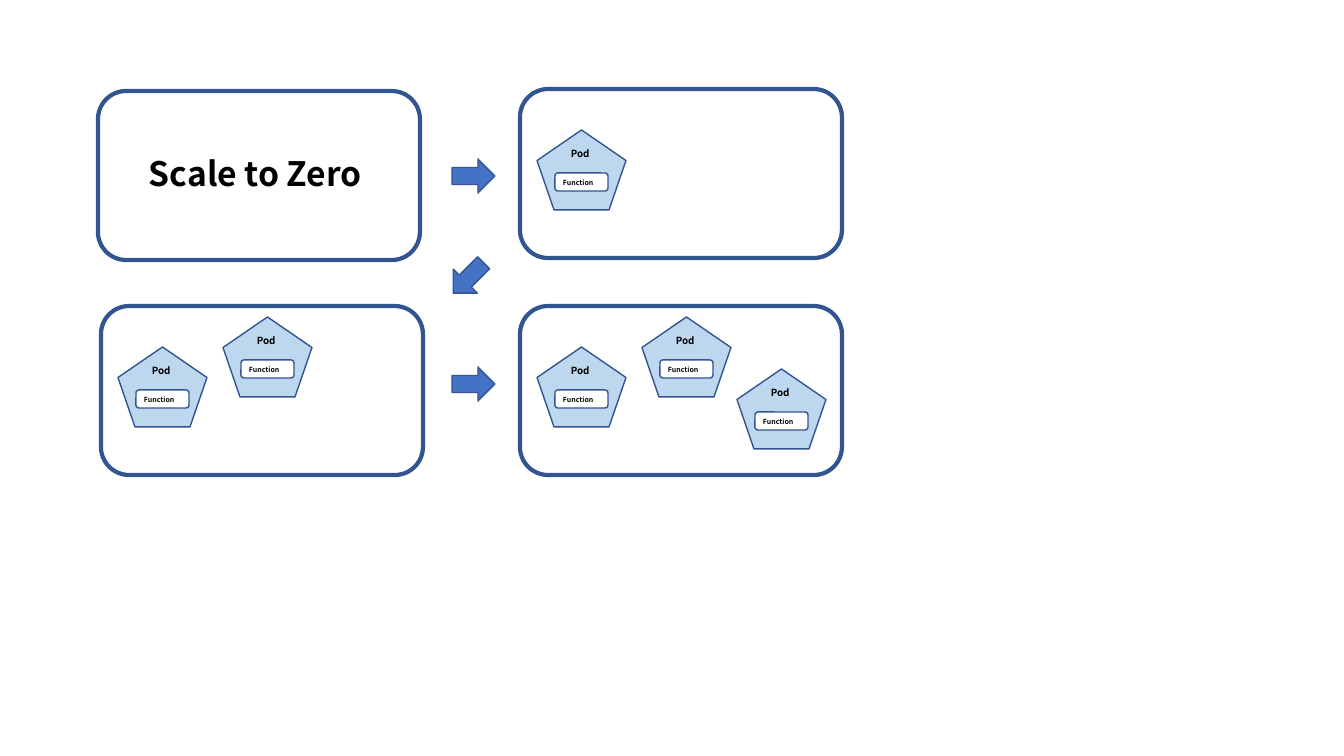
from dataclasses import dataclass

from pptx import Presentation
from pptx.dml.color import RGBColor
from pptx.enum.shapes import MSO_SHAPE
from pptx.enum.text import MSO_AUTO_SIZE
from pptx.util import Emu, Pt

ROUNDED = MSO_SHAPE.ROUNDED_RECTANGLE
PENTAGON = MSO_SHAPE.REGULAR_PENTAGON
ARROW = MSO_SHAPE.RIGHT_ARROW
GROW = MSO_AUTO_SIZE.SHAPE_TO_FIT_TEXT

EMU_PER_PX = 914400 / 100.8
PANEL_SIZE = (322, 169)
POD_SIZE = (89, 80)
ARROW_SIZE = (43, 34)
POD_OFFSETS = [(17, 41), (122, 11), (217, 63)]


@dataclass(frozen=True)
class Theme:
    font: str = "Noto Sans CJK KR"
    outline: str = "325491"
    pod: str = "BDD7EE"
    function: str = "FFFFFF"
    arrow: str = "4472C4"
    text: str = "000000"
    heading_size: int = 24
    pod_size: int = 7
    function_size: int = 5
    panel_line: int = 3
    thin_line: int = 1


THEME = Theme()


def px(length):
    return Emu(round(length * EMU_PER_PX))


def add_box(slide, kind, left, top, size, fill=None, line=THEME.thin_line):
    shape = slide.shapes.add_shape(kind, px(left), px(top), *map(px, size))
    shape.shadow.inherit = False
    if fill:
        shape.fill.solid()
        shape.fill.fore_color.rgb = RGBColor.from_string(fill)
    else:
        shape.fill.background()
    shape.line.color.rgb = RGBColor.from_string(THEME.outline)
    shape.line.width = Pt(line)
    return shape


def add_label(slide, text, left, top, size, points):
    frame = slide.shapes.add_textbox(px(left), px(top), *map(px, size)).text_frame
    frame.word_wrap = True
    frame.auto_size = GROW
    frame.margin_right = 0
    paragraph = frame.paragraphs[0]
    paragraph.text = text
    paragraph.font.name = THEME.font
    paragraph.font.size = Pt(points)
    paragraph.font.bold = True
    paragraph.font.color.rgb = RGBColor.from_string(THEME.text)


def add_pod(slide, left, top):
    add_box(slide, PENTAGON, left, top, POD_SIZE, THEME.pod)
    add_label(slide, "Pod", left + 24, top + 13, (40, 22), THEME.pod_size)
    add_box(slide, ROUNDED, left + 18, top + 43, (53, 18), THEME.function)
    add_label(slide, "Function", left + 16, top + 44, (55, 19), THEME.function_size)


def add_panel(slide, left, top, pod_count):
    add_box(slide, ROUNDED, left, top, PANEL_SIZE, line=THEME.panel_line)
    for offset_x, offset_y in POD_OFFSETS[:pod_count]:
        add_pod(slide, left + offset_x, top + offset_y)


def add_arrow(slide, left, top, rotation=0):
    arrow = add_box(slide, ARROW, left, top, ARROW_SIZE, THEME.arrow)
    arrow.rotation = rotation


def main():
    presentation = Presentation()
    presentation.slide_width = px(1344)
    presentation.slide_height = px(756)
    slide = presentation.slides.add_slide(presentation.slide_layouts[6])

    panels = [(98, 91), (520, 89), (101, 306), (520, 306)]
    for pod_count, (left, top) in enumerate(panels):
        add_panel(slide, left, top, pod_count)
    for left, top, rotation in [(452, 159, 0), (447, 261, 135), (452, 367, 0)]:
        add_arrow(slide, left, top, rotation)
    add_label(slide, "Scale to Zero", 139, 148, (262, 50), THEME.heading_size)

    presentation.save("out.pptx")


if __name__ == "__main__":
    main()
